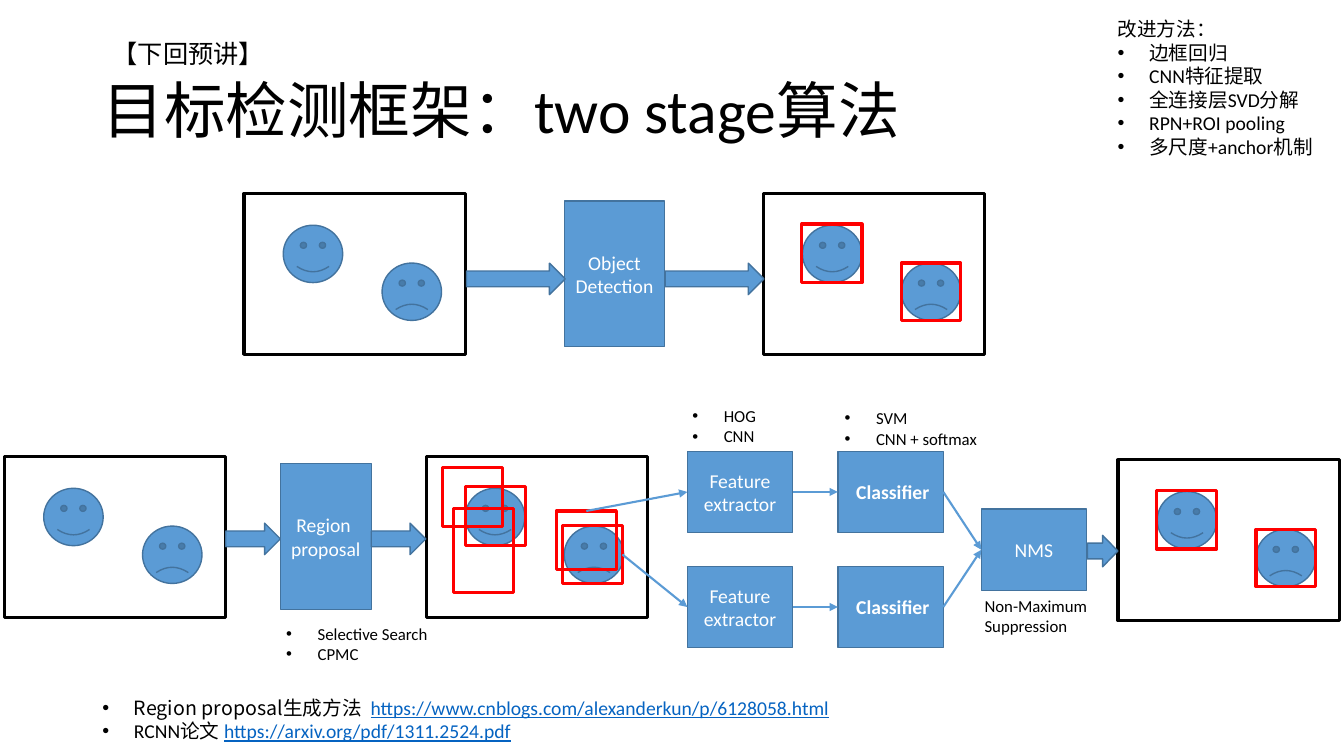
"""Build a slide that explains the two stage object detection framework."""
import pptx
import pptx.dml.color
import pptx.enum.shapes
import pptx.enum.text
import pptx.oxml
import pptx.oxml.ns
import pptx.util

Pt = pptx.util.Pt
SHAPE = pptx.enum.shapes.MSO_SHAPE
ALIGN = pptx.enum.text.PP_ALIGN
ANCHOR = pptx.enum.text.MSO_ANCHOR
COLORS = {"black": "000000", "white": "FFFFFF", "blue": "5B9BD5",
          "edge": "43739E", "red": "FF0000", "link": "0563C1"}
LATIN, CJK = "Calibri", "Noto Sans CJK SC"
LINK = {"color": "link", "underline": True}
BULLET_INDENT = 22.5
TOP, LEFT, BOTTOM, RIGHT = range(4)
FACES = [(28, 22.7, None), (98.6, 49.7, -0.0465)]
FACE_SIZE = (42.5, 41)
FOUND = [(27.5, 21.8, 43, 42), (98.6, 49.7, 42.5, 41)]
PROPOSED = [(11.5, 7.9, 43, 42), (28, 21.6, 43, 42), (19.4, 37.4, 43, 60),
            (92.9, 38.9, 43, 42), (97.2, 49, 43, 42)]


def rgb(name):
    return pptx.dml.color.RGBColor.from_string(COLORS[name])


def add_xml(parent, tag, **attributes):
    element = pptx.oxml.parse_xml(f"<{tag} {pptx.oxml.ns.nsdecls('a')}/>")
    for name, value in attributes.items():
        element.set(name, value)
    parent.append(element)


def place(shape, left, top, width, height):
    shape.left, shape.top = Pt(left), Pt(top)
    shape.width, shape.height = Pt(width), Pt(height)


def add_bullet(paragraph):
    properties = paragraph._p.get_or_add_pPr()
    properties.set("marL", str(Pt(BULLET_INDENT)))
    properties.set("indent", str(-Pt(BULLET_INDENT)))
    add_xml(properties, "a:buFont", typeface="Arial")
    add_xml(properties, "a:buChar", char="•")


def add_run(paragraph, text, size=14, color="black", font=LATIN, bold=False,
            underline=False):
    run = paragraph.add_run()
    run.text = text
    run.font.size, run.font.name = Pt(size), font
    run.font.bold, run.font.underline = bold, underline
    run.font.color.rgb = rgb(color)
    add_xml(run._r.get_or_add_rPr(), "a:ea", typeface=CJK)


def write_text(shape, lines, align=ALIGN.LEFT, anchor=ANCHOR.TOP, spacing=1.0,
               bullets_from=None, **run_format):
    """Fill a shape; a line is a string or a list of (text, format) runs."""
    frame = shape.text_frame
    frame.word_wrap = True
    frame.auto_size = pptx.enum.text.MSO_AUTO_SIZE.NONE
    frame.vertical_anchor = anchor
    for index, line in enumerate(lines):
        paragraph = frame.add_paragraph() if index else frame.paragraphs[0]
        paragraph.alignment = align
        paragraph.line_spacing = spacing
        paragraph.space_before = Pt(0)
        if bullets_from is not None and index >= bullets_from:
            add_bullet(paragraph)
        runs = [(line, {})] if isinstance(line, str) else line
        for text, extra in runs:
            add_run(paragraph, text, **{**run_format, **extra})


def add_note(slide, box, lines, **text_format):
    note = slide.shapes.add_textbox(*map(Pt, box))
    write_text(note, lines, **text_format)


def add_figure(slide, kind, box, fill="blue", line="edge", weight=1):
    shape = slide.shapes.add_shape(kind, *map(Pt, box))
    shape.shadow.inherit = False
    if fill:
        shape.fill.solid()
        shape.fill.fore_color.rgb = rgb(fill)
    else:
        shape.fill.background()
    shape.line.color.rgb = rgb(line)
    shape.line.width = Pt(weight)
    return shape


def add_step(slide, box, lines, **text_format):
    step = add_figure(slide, SHAPE.RECTANGLE, box)
    write_text(step, lines, align=ALIGN.CENTER, anchor=ANCHOR.MIDDLE,
               color="white", **text_format)
    return step


def add_scene(slide, left, top, marks=()):
    """Draw a framed image with two faces and return its red boxes."""
    add_figure(slide, SHAPE.RECTANGLE, (left, top, 158, 115), "white", "black", 2.25)
    for x, y, mouth in FACES:
        face = add_figure(slide, SHAPE.SMILEY_FACE, (left + x, top + y, *FACE_SIZE))
        if mouth is not None:
            face.adjustments[0] = mouth
    return [add_figure(slide, SHAPE.RECTANGLE, (left + x, top + y, width, height),
                       None, "red", 2.25)
            for x, y, width, height in marks]


def add_block_arrow(slide, left, top, width):
    add_figure(slide, SHAPE.RIGHT_ARROW, (left, top, width, 22.5))


def connect(slide, start, start_site, end, end_site):
    connector = slide.shapes.add_connector(
        pptx.enum.shapes.MSO_CONNECTOR.STRAIGHT, 0, 0, 0, 0)
    connector.begin_connect(start, start_site)
    connector.end_connect(end, end_site)
    connector.line.color.rgb = rgb("blue")
    connector.line.width = Pt(1.5)
    add_xml(connector.line._get_or_add_ln(), "a:tailEnd", type="triangle")
    add_xml(connector._element.spPr, "a:effectLst")


def add_headings(slide):
    title = slide.shapes.title
    place(title, 66, 28.75, 828, 104.4)
    write_text(title, ["目标检测框架：two stage算法"], size=44,
               anchor=ANCHOR.MIDDLE, spacing=0.9)
    add_note(slide, (73.4, 23.8, 130, 29), ["【下回预讲】"], size=18)
    add_note(slide, (791.3, 8.6, 154.8, 131),
             ["改进方法：", "边框回归", "CNN特征提取", "全连接层SVD分解",
              "RPN+ROI pooling", "多尺度+anchor机制"], bullets_from=1)


def add_overview(slide):
    add_scene(slide, 174.3, 138.2)
    add_step(slide, (403.2, 143.7, 71.5, 104), ["Object", "Detection"])
    add_scene(slide, 545.2, 138.2, FOUND)
    for left in (333.2, 475.2):
        add_block_arrow(slide, left, 188, 70.5)


def add_pipeline(slide):
    add_scene(slide, 3.2, 326.1)
    add_step(slide, (200.2, 331.2, 65, 104), ["Region ", "proposal"])
    proposals = add_scene(slide, 304.4, 326.1, PROPOSED)
    for left in (161.3, 265.2):
        add_block_arrow(slide, left, 373.7, 39)

    nms = add_step(slide, (701, 363.7, 75, 58), ["NMS"])
    sources = [(proposals[3], TOP), (proposals[4], RIGHT)]
    for row, (proposal, site) in enumerate(sources):
        top = 322.4 + 82.2 * row
        extractor = add_step(slide, (491, top, 75.3, 58), ["Feature extractor"])
        classifier = add_step(slide, (598.5, top, 75.3, 58),
                              [[(" ", {}), ("Classifier", {"bold": True})]])
        connect(slide, proposal, site, extractor, LEFT)
        connect(slide, extractor, RIGHT, classifier, LEFT)
        connect(slide, classifier, RIGHT, nms, LEFT)

    add_scene(slide, 798.6, 328.4, FOUND)
    add_block_arrow(slide, 776.7, 382.4, 21.8)
    for box, methods in [((197.3, 442, 120, 36), ["Selective Search", "CPMC"]),
                         ((487.4, 286.5, 62, 36), ["HOG", "CNN"]),
                         ((596.2, 288, 114, 36), ["SVM", "CNN + softmax"])]:
        add_note(slide, box, methods, size=12, bullets_from=0)
    add_note(slide, (696.2, 422, 92, 36), ["Non-Maximum", "Suppression"], size=12)


def add_references(slide):
    body = slide.placeholders[1]
    place(body, 66, 493.4, 555, 41)
    write_text(body, [
        [("Region proposal生成方法  ", {"font": CJK}),
         ("https://www.cnblogs.com/alexanderkun/p/6128058.html", LINK)],
        [("RCNN论文 ", {}), ("https://arxiv.org/pdf/1311.2524.pdf", LINK)],
    ], bullets_from=0)


def main():
    presentation = pptx.Presentation()
    presentation.slide_width, presentation.slide_height = Pt(960), Pt(540)
    slide = presentation.slides.add_slide(presentation.slide_layouts[1])
    add_headings(slide)
    add_overview(slide)
    add_pipeline(slide)
    add_references(slide)
    presentation.save("out.pptx")


if __name__ == "__main__":
    main()
